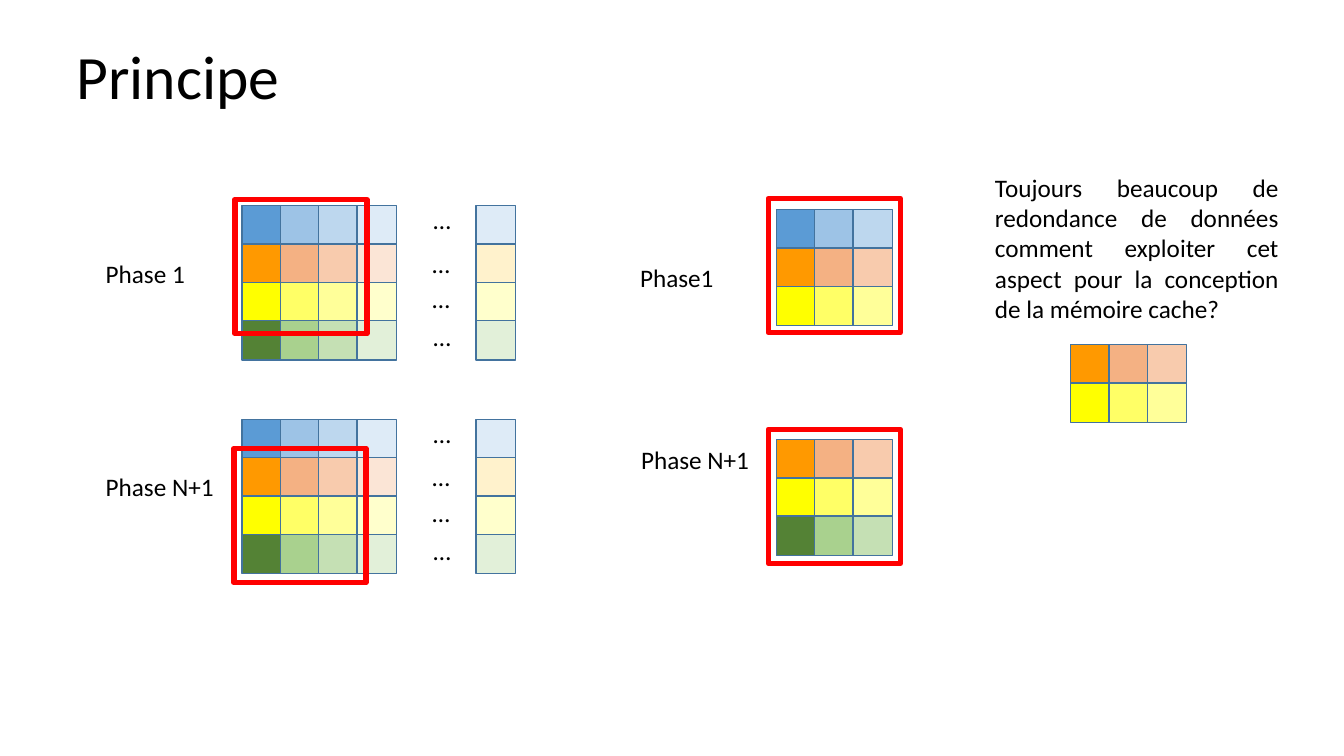
from pptx import Presentation
from pptx import util as u
from pptx.dml.color import RGBColor
from pptx.enum import shapes, text

# Content
TITLE = "Principe"
QUESTION = ("Toujours beaucoup de redondance de données comment exploiter cet "
            "aspect pour la conception de la mémoire cache?")
FONT, BLACK, RED, OUTLINE = "Calibri", "000000", "FF0000", "43739E"

# One row per image line: four neighbouring pixels, then the last pixel
PIXELS = [
    ("5B9BD5", "9DC3E6", "BDD7EE", "DEEBF7", "DEEBF7"),
    ("FF9900", "F4B183", "F8CBAD", "FBE5D6", "FFF2CC"),
    ("FFFF00", "FFFF66", "FFFF99", "FFFFCC", "FFFFCC"),
    ("548235", "A9D18E", "C5E0B4", "E2F0D9", "E2F0D9"),
]
LABELS = [  # wording, left, top, width
    ("Phase 1", 0.95, 2.51, 1.23),
    ("Phase N+1", 0.95, 4.63, 1.41),
    ("Phase1", 6.25, 2.55, 1.23),
    ("Phase N+1", 6.26, 4.36, 1.43),
]
IMAGES = [(2.4, 2.04), (2.4, 4.16)]  # left, top of each full image
WINDOWS = [  # left, top, first row, last row (excluded)
    (7.7, 2.08, 0, 3),
    (7.7, 4.36, 1, 4),
    (10.62, 3.42, 1, 3),
]
FRAMES = [(2.33, 1.98), (2.32, 4.45), (7.62, 1.97), (7.62, 4.26)]

# Grid
PITCH, CELL = 0.38, 0.39
LAST_COLUMN = 2.32                   # offset of the last pixel column
DOTS = [(1.8, -0.06), (1.79, 0.37), (1.79, 0.72), (1.8, 1.1)]

deck = Presentation()
deck.slide_width, deck.slide_height = u.Inches(13.33), u.Inches(7.5)
page = deck.slides.add_slide(deck.slide_layouts[5])


def color(value):
    return RGBColor.from_string(value)


def write(box, wording, size=18, align=text.PP_ALIGN.LEFT):
    frame = box.text_frame
    frame.word_wrap = True
    para = frame.paragraphs[0]
    para.alignment = align
    span = para.add_run()
    span.text = wording
    span.font.size, span.font.name = u.Pt(size), FONT
    span.font.color.rgb = color(BLACK)
    return frame, para


def add_label(wording, left, top, width, height=0.4, align=text.PP_ALIGN.LEFT):
    box = page.shapes.add_textbox(*map(u.Inches, (left, top, width, height)))
    write(box, wording, align=align)


def add_rectangle(left, top, width, height, line, weight, fill=None):
    box = page.shapes.add_shape(shapes.MSO_SHAPE.RECTANGLE,
                                *map(u.Inches, (left, top, width, height)))
    box.shadow.inherit = False
    if fill:
        box.fill.solid()
        box.fill.fore_color.rgb = color(fill)
    else:
        box.fill.background()
    box.line.color.rgb = color(line)
    box.line.width = u.Pt(weight)


def add_pixels(left, top, rows, columns):
    for row, tints in enumerate(rows):
        for column in range(columns):
            offset = LAST_COLUMN if column == 4 else column * PITCH
            add_rectangle(left + offset, top + row * PITCH, CELL, CELL,
                          OUTLINE, 1, tints[column])


# Title
title = page.shapes.title
title.left, title.top, title.width, title.height = map(
    u.Inches, (0.66, 0.06, 11.5, 1.45))
title_frame, title_para = write(title, TITLE, 44)
title_frame.vertical_anchor = text.MSO_ANCHOR.MIDDLE
title_para.line_spacing = 0.9

# Full images with their elided columns
for left, top in IMAGES:
    add_pixels(left, top, PIXELS, 5)
    for across, down in DOTS:
        add_label("…", left + across, top + down, 0.36)

# Pixels in the window, and those shared by both phases
for left, top, first, last in WINDOWS:
    add_pixels(left, top, PIXELS[first:last], 3)

# Red sliding windows
for left, top in FRAMES:
    add_rectangle(left, top, 1.31, 1.33, RED, 4)

# Phase names and question
for label in LABELS:
    add_label(*label)
add_label(QUESTION, 9.77, 1.66, 3.01, 1.62, text.PP_ALIGN.JUSTIFY)

deck.save("out.pptx")
